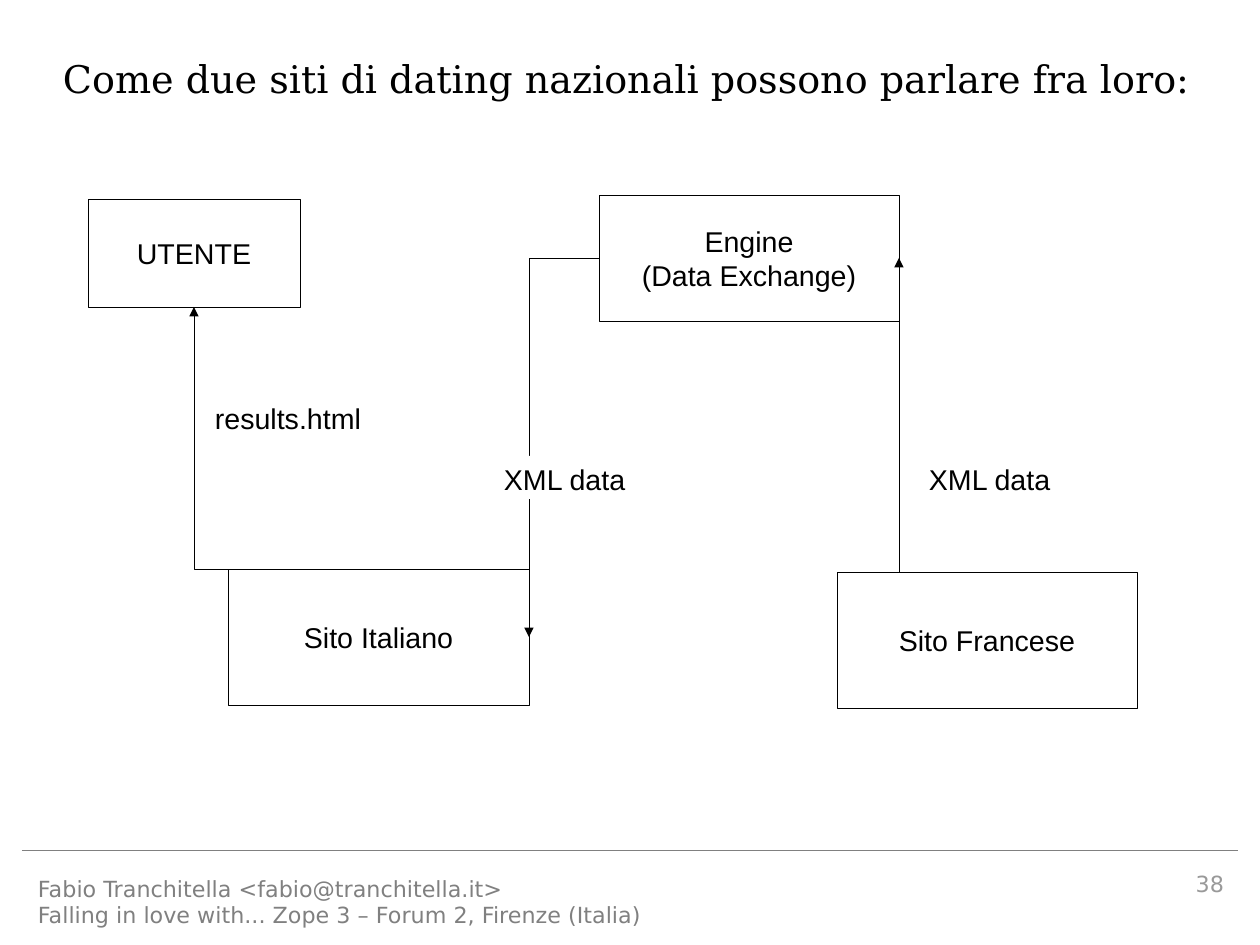
"""Builds the slide on how two national dating sites exchange data."""
from dataclasses import dataclass

import pptx
import pptx.dml.color
import pptx.enum.shapes
import pptx.enum.text
import pptx.oxml.ns
import pptx.util
from lxml import etree

PX = 8000
ALIGN = pptx.enum.text.PP_ALIGN
ANCHOR = pptx.enum.text.MSO_ANCHOR
SHAPE = pptx.enum.shapes.MSO_SHAPE
CONNECTOR = pptx.enum.shapes.MSO_CONNECTOR


@dataclass(frozen=True)
class Style:
    font: str
    size: int
    color: str


@dataclass(frozen=True)
class Theme:
    title: Style = Style("DejaVu Serif", 24, "000000")
    body: Style = Style("Arial", 18, "000000")
    footer: Style = Style("DejaVu Sans", 14, "808080")
    number: Style = Style("DejaVu Sans", 14, "999999")
    ink: str = "000000"
    paper: str = "FFFFFF"
    rule: str = "808080"
    line_width: float = 0.28


THEME = Theme()


def px(*values):
    return [pptx.util.Emu(v * PX) for v in values]


def rgb(value):
    return pptx.dml.color.RGBColor.from_string(value)


def write(tf, text, style, align=ALIGN.LEFT, anchor=ANCHOR.TOP, wrap=True, margins=(11, 6)):
    tf.text = text
    tf.word_wrap = wrap
    tf.vertical_anchor = anchor
    tf.margin_left = tf.margin_right = px(margins[0])[0]
    tf.margin_top = tf.margin_bottom = px(margins[1])[0]
    for p in tf.paragraphs:
        p.alignment = align
        for r in p.runs:
            r.font.name = style.font
            r.font.size = pptx.util.Pt(style.size)
            r.font.color.rgb = rgb(style.color)


def add_text(s, box, text, style, **layout):
    sp = s.shapes.add_textbox(*px(*box))
    write(sp.text_frame, text, style, **layout)
    return sp


def add_node(s, box, text):
    sp = s.shapes.add_shape(SHAPE.RECTANGLE, *px(*box))
    sp.shadow.inherit = False
    sp.fill.background()
    sp.line.color.rgb = rgb(THEME.ink)
    sp.line.width = pptx.util.Pt(THEME.line_width)
    write(sp.text_frame, text, THEME.body, align=ALIGN.CENTER, anchor=ANCHOR.MIDDLE)


def add_label(s, box, text, filled=True):
    sp = add_text(s, box, text, THEME.body, wrap=False)
    if filled:
        sp.fill.solid()
        sp.fill.fore_color.rgb = rgb(THEME.paper)


def add_line(s, kind, start, end, color):
    c = s.shapes.add_connector(kind, *px(*start, *end))
    c.line.color.rgb = rgb(color)
    c.line.width = pptx.util.Pt(THEME.line_width)
    etree.SubElement(c._element.spPr, pptx.oxml.ns.qn("a:effectLst"))
    return c


def add_bent_arrow(s, start, end):
    """Draw an arrow that runs left from start, then turns towards end."""
    c = add_line(s, CONNECTOR.ELBOW, start, end, THEME.ink)
    spPr = c._element.spPr
    spPr.find(pptx.oxml.ns.qn("a:prstGeom")).set("prst", "bentConnector2")
    xfrm = spPr.find(pptx.oxml.ns.qn("a:xfrm"))
    for flip in ("flipH", "flipV"):
        xfrm.attrib.pop(flip, None)
    xfrm.set("rot", "10800000")
    if end[1] > start[1]:
        xfrm.set("flipV", "1")
    ln = spPr.find(pptx.oxml.ns.qn("a:ln"))
    etree.SubElement(ln, pptx.oxml.ns.qn("a:tailEnd"), type="triangle")


def main():
    prs = pptx.Presentation()
    prs.slide_width, prs.slide_height = px(1260, 945)
    s = prs.slides.add_slide(prs.slide_layouts[6])

    add_text(s, (27, 869, 832, 64),
             "Fabio Tranchitella <fabio@tranchitella.it>\n"
             "Falling in love with... Zope 3 – Forum 2, Firenze (Italia)", THEME.footer)
    add_line(s, CONNECTOR.STRAIGHT, (22, 850), (1238, 850), THEME.rule)
    add_text(s, (63, 45, 1134, 67),
             "Come due siti di dating nazionali possono parlare fra loro:",
             THEME.title, anchor=ANCHOR.MIDDLE, margins=(0, 0))

    for box, text in (
        ((228, 569, 301, 136), "Sito Italiano"),
        ((88, 199, 212, 108), "UTENTE"),
        ((837, 572, 300, 136), "Sito Francese"),
        ((599, 195, 300, 126), "Engine\n(Data Exchange)"),
    ):
        add_node(s, box, text)

    for start, end in (
        ((378, 569), (194, 307)),
        ((599, 258), (529, 637)),
        ((987, 572), (899, 258)),
    ):
        add_bent_arrow(s, start, end)

    add_label(s, (204, 395, 169, 43), "results.html", filled=False)
    for left in (493, 918):
        add_label(s, (left, 456, 144, 43), "XML data")
    add_text(s, (930, 870, 294, 62), "38", THEME.number, align=ALIGN.RIGHT, margins=(0, 0))

    prs.save("out.pptx")


if __name__ == "__main__":
    main()
